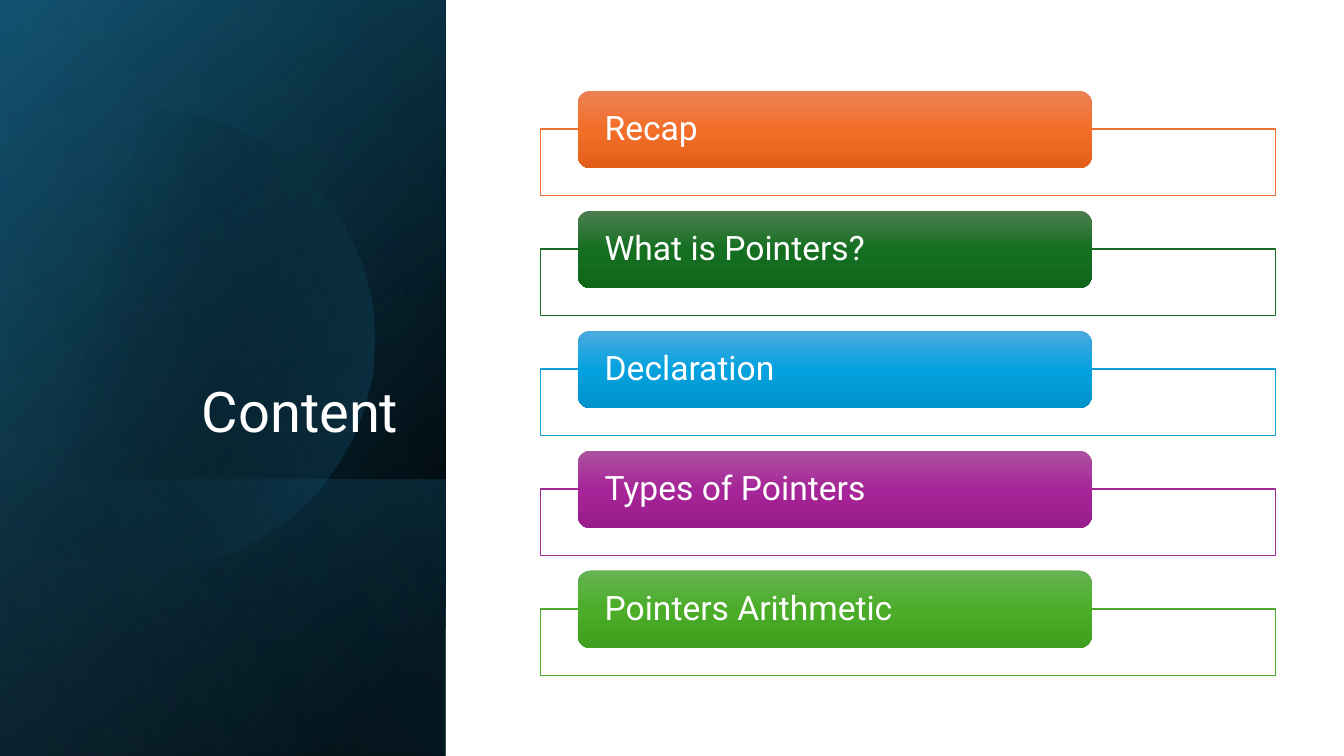
from dataclasses import dataclass
from math import cos, radians, sin

from lxml import etree
from pptx import Presentation
from pptx.dml.color import RGBColor
from pptx.enum.shapes import MSO_SHAPE
from pptx.enum.text import MSO_ANCHOR, MSO_AUTO_SIZE, PP_ALIGN
from pptx.oxml import parse_xml
from pptx.oxml.ns import qn
from pptx.shapes.autoshape import Shape
from pptx.slide import Slide
from pptx.text.text import TextFrame
from pptx.util import Emu, Pt

RECTANGLE = MSO_SHAPE.RECTANGLE
ROUNDED = MSO_SHAPE.ROUNDED_RECTANGLE
LEFT, RIGHT = PP_ALIGN.LEFT, PP_ALIGN.RIGHT
MIDDLE, BOTTOM = MSO_ANCHOR.MIDDLE, MSO_ANCHOR.BOTTOM
NO_AUTOFIT = MSO_AUTO_SIZE.NONE
DRAWING_NS = "http://schemas.openxmlformats.org/drawingml/2006/main"
EMU_PER_PX = 9144
SLIDE_WIDTH, SLIDE_HEIGHT = 1333, 750
PANEL_WIDTH = 442
TOPIC_PITCH = 119


@dataclass(frozen=True)
class Theme:
    font: str = "Roboto"
    title_size: int = 40
    topic_size: int = 24
    frame_line: int = 1
    white: str = "FFFFFF"
    black: str = "000000"
    navy: str = "104862"
    teal: str = "156082"
    sky: str = "46B1E1"


@dataclass(frozen=True)
class Stop:
    position: int
    color: str
    opacity: int = 100


@dataclass(frozen=True)
class PanelLayer:
    top: int
    height: int
    angle: int
    stops: tuple[Stop, ...]


@dataclass(frozen=True)
class Topic:
    label: str
    frame: str
    light: str
    middle: str
    dark: str


THEME = Theme()
BACK_LAYERS = (
    PanelLayer(0, 750, 50, (Stop(8, THEME.black), Stop(100, THEME.navy))),
    PanelLayer(0, 750, 30, (Stop(0, THEME.black, 0), Stop(99, THEME.teal, 46))),
    PanelLayer(476, 274, 130, (Stop(2, THEME.teal, 29), Stop(100, THEME.black, 30))),
)
GLOW_LAYER = PanelLayer(0, 750, 120, (Stop(0, THEME.black, 0), Stop(99, THEME.sky, 11)))
DISC_STOPS = (Stop(29, THEME.black, 0), Stop(100, THEME.teal, 43))
TOPICS = (
    Topic("Recap", "E97132", "ED8257", "F26E29", "E25F1A"),
    Topic("What is Pointers?", "196B24", "4D7E50", "156F21", "0F661B"),
    Topic("Declaration", "0F9ED5", "4CAADF", "05A2DF", "0092CB"),
    Topic("Types of Pointers", "A02B93", "AC53A0", "A62598", "991C8B"),
    Topic("Pointers Arithmetic", "4EA72E", "66B354", "4BAD28", "409F1E"),
)


def px(length: int) -> Emu:
    return Emu(length * EMU_PER_PX)


def fill_gradient(shape: Shape, stops: tuple[Stop, ...], angle: int) -> None:
    gradient = parse_xml(f'<a:gradFill xmlns:a="{DRAWING_NS}" rotWithShape="1"/>')
    stop_list = etree.SubElement(gradient, qn("a:gsLst"))
    for stop in stops:
        entry = etree.SubElement(stop_list, qn("a:gs"), pos=str(stop.position * 1000))
        color = etree.SubElement(entry, qn("a:srgbClr"), val=stop.color)
        if stop.opacity < 100:
            etree.SubElement(color, qn("a:alpha"), val=str(stop.opacity * 1000))
    etree.SubElement(gradient, qn("a:lin"), ang=str(angle * 60000), scaled="0")
    shape.fill.background()
    properties = shape.element.spPr
    properties.replace(properties.find(qn("a:noFill")), gradient)
    shape.line.fill.background()
    shape.shadow.inherit = False


def format_text(frame: TextFrame, size: int, alignment: PP_ALIGN, anchor: MSO_ANCHOR) -> None:
    frame.word_wrap = True
    frame.auto_size = NO_AUTOFIT
    frame.vertical_anchor = anchor
    paragraph = frame.paragraphs[0]
    paragraph.alignment = alignment
    paragraph.line_spacing = 0.9
    font = paragraph.runs[0].font
    font.name = THEME.font
    font.size = Pt(size)
    font.color.rgb = RGBColor.from_string(THEME.white)


def draw_layer(slide: Slide, layer: PanelLayer) -> None:
    shift = (layer.height - PANEL_WIDTH) // 2
    panel = slide.shapes.add_shape(
        RECTANGLE, px(-shift), px(layer.top + shift), px(layer.height), px(PANEL_WIDTH)
    )
    panel.rotation = 90
    panel.element.spPr.find(qn("a:xfrm")).set("flipH", "1")
    fill_gradient(panel, layer.stops, layer.angle)


def draw_disc(slide: Slide) -> None:
    center_x, center_y, radius = 143, 337, 228
    rim = [
        (center_x + radius * cos(radians(degree)), center_y + radius * sin(radians(degree)))
        for degree in range(-128, 129, 2)
    ]
    outline = slide.shapes.build_freeform(*rim[0], scale=EMU_PER_PX)
    outline.add_line_segments(rim[1:], close=True)
    fill_gradient(outline.convert_to_shape(), DISC_STOPS, 14)


def draw_title(slide: Slide) -> None:
    title = slide.shapes.title
    title.left, title.top, title.width, title.height = px(64), px(184), px(341), px(262)
    title.text_frame.text = "Content"
    format_text(title.text_frame, THEME.title_size, RIGHT, BOTTOM)
    title.element.getparent().append(title.element)


def draw_topic(slide: Slide, topic: Topic, offset: int) -> None:
    frame = slide.shapes.add_shape(RECTANGLE, px(536), px(128 + offset), px(729), px(66))
    frame.fill.solid()
    frame.fill.fore_color.rgb = RGBColor.from_string(THEME.white)
    frame.line.color.rgb = RGBColor.from_string(topic.frame)
    frame.line.width = Pt(THEME.frame_line)
    frame.shadow.inherit = False

    card = slide.shapes.add_shape(ROUNDED, px(573), px(90 + offset), px(510), px(77))
    fill_gradient(card, (Stop(0, topic.light), Stop(50, topic.middle), Stop(100, topic.dark)), 90)
    label = card.text_frame
    label.text = topic.label
    label.margin_left = label.margin_right = px(23)
    label.margin_top = label.margin_bottom = px(0)
    format_text(label, THEME.topic_size, LEFT, MIDDLE)


def main() -> None:
    presentation = Presentation()
    presentation.slide_width, presentation.slide_height = px(SLIDE_WIDTH), px(SLIDE_HEIGHT)
    slide = presentation.slides.add_slide(presentation.slide_layouts.get_by_name("Title Only"))
    for layer in BACK_LAYERS:
        draw_layer(slide, layer)
    draw_disc(slide)
    draw_layer(slide, GLOW_LAYER)
    draw_title(slide)
    for row, topic in enumerate(TOPICS):
        draw_topic(slide, topic, row * TOPIC_PITCH)
    presentation.save("out.pptx")


if __name__ == "__main__":
    main()
